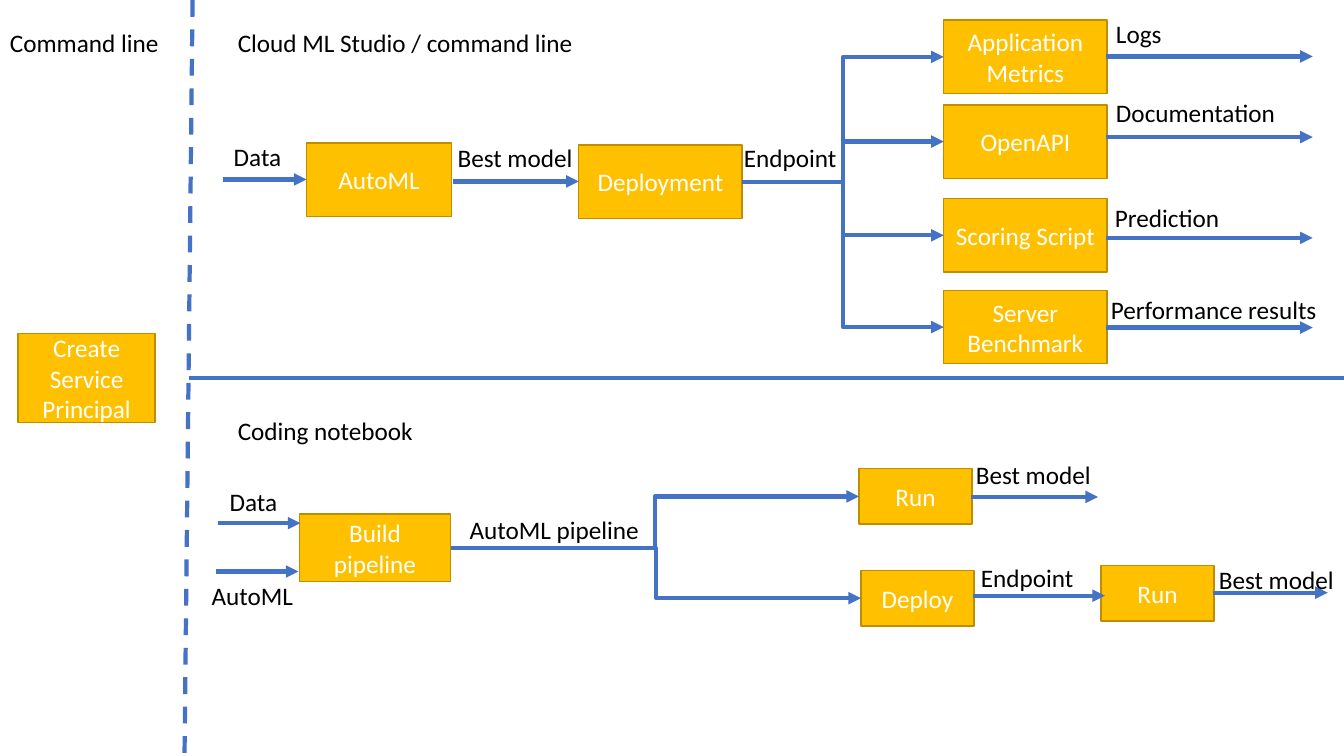
from dataclasses import dataclass

from pptx import Presentation
from pptx.dml.color import RGBColor
from pptx.enum.dml import MSO_LINE
from pptx.enum.shapes import MSO_CONNECTOR, MSO_SHAPE
from pptx.enum.text import MSO_ANCHOR, MSO_AUTO_SIZE, PP_ALIGN
from pptx.oxml.ns import qn
from pptx.util import Inches, Pt
from lxml.etree import SubElement


@dataclass(frozen=True)
class Theme:
    """Colours, font and sizes of the diagram."""
    font: str = "Calibri"
    size: int = 18
    text: str = "000000"
    box_text: str = "FFFFFF"
    box_fill: str = "FFC000"
    box_edge: str = "BD8E00"
    line: str = "4472C4"
    line_width: int = 3


THEME = Theme()
LEFT_SITE, RIGHT_SITE = 1, 3


def write(frame, text, color, align):
    """Put one run of themed text in a text frame."""
    frame.word_wrap = True
    para = frame.paragraphs[0]
    para.alignment = align
    span = para.add_run()
    span.text = text
    span.font.name = THEME.font
    span.font.size = Pt(THEME.size)
    span.font.color.rgb = RGBColor.from_string(color)


def add_label(page, text, left, top, width):
    """Add a plain one-line label."""
    box = page.shapes.add_textbox(
        Inches(left), Inches(top), Inches(width), Inches(0.4))
    write(box.text_frame, text, THEME.text, PP_ALIGN.LEFT)
    box.text_frame.auto_size = MSO_AUTO_SIZE.SHAPE_TO_FIT_TEXT


def add_box(page, text, left, top, width, height):
    """Add a filled step box with centred text."""
    box = page.shapes.add_shape(
        MSO_SHAPE.RECTANGLE,
        Inches(left), Inches(top), Inches(width), Inches(height))
    box.shadow.inherit = False
    box.fill.solid()
    box.fill.fore_color.rgb = RGBColor.from_string(THEME.box_fill)
    box.line.color.rgb = RGBColor.from_string(THEME.box_edge)
    box.line.width = Pt(1)
    box.text_frame.vertical_anchor = MSO_ANCHOR.MIDDLE
    write(box.text_frame, text, THEME.box_text, PP_ALIGN.CENTER)
    return box


def add_line(page, start, end, kind=MSO_CONNECTOR.STRAIGHT, arrow=False):
    """Add a themed connector between two points in inches."""
    line = page.shapes.add_connector(
        kind, *[Inches(value) for value in (*start, *end)])
    line.line.color.rgb = RGBColor.from_string(THEME.line)
    line.line.width = Pt(THEME.line_width)
    if arrow:
        outline = line.line._get_or_add_ln()
        SubElement(outline, qn("a:tailEnd"), type="triangle")
    SubElement(line._element.spPr, qn("a:effectLst"))
    return line


def add_arrow(page, left, right, height):
    """Add a level arrow."""
    add_line(page, (left, height), (right, height), arrow=True)


def add_branch(page, source, target):
    """Join two boxes with an elbow arrow, right side to left side."""
    start = ((source.left + source.width) / Inches(1),
             (source.top + source.height / 2) / Inches(1))
    end = (target.left / Inches(1),
           (target.top + target.height / 2) / Inches(1))
    line = add_line(page, start, end, MSO_CONNECTOR.ELBOW, arrow=True)
    line.begin_connect(source, RIGHT_SITE)
    line.end_connect(target, LEFT_SITE)


def add_regions(page):
    """Draw the dividers and the heading of each region."""
    divider = add_line(page, (1.91, 0), (1.83, 7.5))
    divider.line.dash_style = MSO_LINE.DASH
    add_line(page, (1.87, 3.75), (13.33, 3.75))
    add_label(page, "Command line", 0, 0.22, 1.75)
    add_label(page, "Cloud ML Studio / command line", 2.26, 0.22, 4.72)
    add_label(page, "Coding notebook", 2.26, 4.07, 4.72)
    add_box(page, "Create Service Principal", 0.18, 3.31, 1.36, 0.88)


def add_studio_flow(page):
    """Draw the deployment and the four services it feeds."""
    height = 0.73
    add_box(page, "AutoML", 3.04, 1.42, 1.44, height)
    deployment = add_box(page, "Deployment", 5.74, 1.44, 1.62, height)
    add_arrow(page, 2.21, 3.04, 1.78)
    add_arrow(page, 4.49, 5.74, 1.8)
    add_label(page, "Data", 2.22, 1.35, 0.93)
    add_label(page, "Best model", 4.44, 1.36, 1.44)
    add_label(page, "Endpoint", 7.28, 1.36, 1.25)
    services = (
        ("Application Metrics", 0.2, 0.56, "Logs", 10.97, 0.13, 1.25),
        ("OpenAPI", 1.04, 1.36, "Documentation", 10.97, 0.92, 1.91),
        ("Scoring Script", 1.97, 2.36, "Prediction", 10.96, 1.96, 1.91),
        ("Server Benchmark", 2.88, 3.25,
         "Performance results", 10.92, 2.87, 2.53),
    )
    for name, top, arrow_height, result, left, label_top, width in services:
        service = add_box(page, name, 9.36, top, 1.62, height)
        add_branch(page, deployment, service)
        add_arrow(page, 10.97, 13.02, arrow_height)
        add_label(page, result, left, label_top, width)


def add_notebook_flow(page):
    """Draw the pipeline with its run and deploy branches."""
    pipeline = add_box(page, "Build pipeline", 2.97, 5.1, 1.5, 0.67)
    steps = [
        add_box(page, name, left, top, 1.12, 0.55)
        for name, left, top in (
            ("Run", 8.52, 4.65), ("Deploy", 8.54, 5.66), ("Run", 10.92, 5.61))
    ]
    for step in steps[:2]:
        add_branch(page, pipeline, step)
    for left, right, height in (
            (2.16, 2.98, 5.19), (2.14, 2.96, 5.67), (9.63, 10.89, 4.93),
            (9.65, 10.96, 5.91), (12.03, 13.17, 5.88)):
        add_arrow(page, left, right, height)
    for text, left, top, width in (
            ("Data", 2.18, 4.78, 0.93), ("AutoML", 2, 5.71, 1.06),
            ("AutoML pipeline", 4.56, 5.05, 2.08),
            ("Best model", 9.58, 4.51, 1.42), ("Endpoint", 9.63, 5.53, 1.25),
            ("Best model", 11.99, 5.55, 1.38)):
        add_label(page, text, left, top, width)


def main():
    """Build the one-page deck and save it."""
    deck = Presentation()
    deck.slide_width, deck.slide_height = Inches(13.33), Inches(7.5)
    page = deck.slides.add_slide(deck.slide_layouts[6])
    add_regions(page)
    add_studio_flow(page)
    add_notebook_flow(page)
    deck.save("out.pptx")


main()
